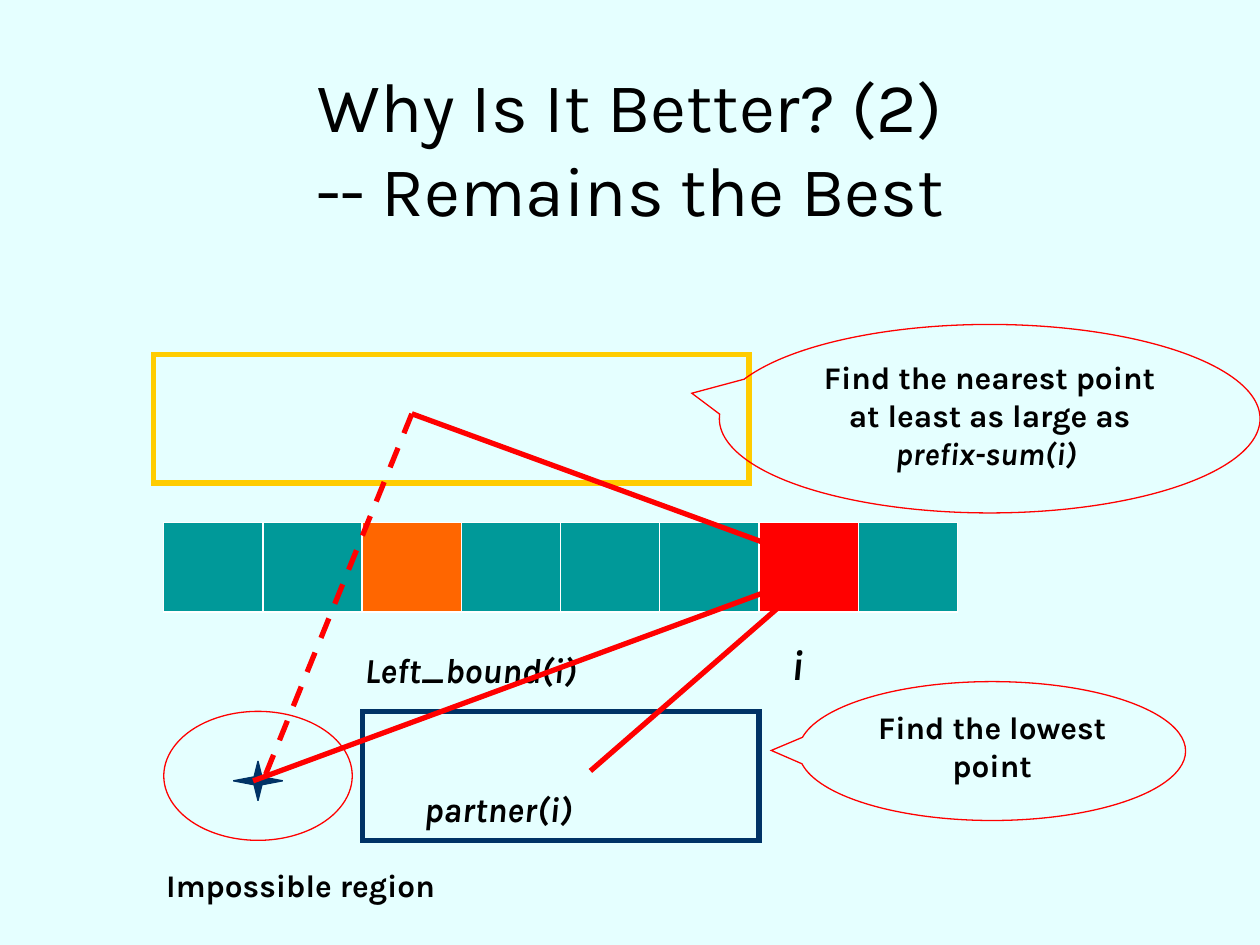
from lxml import etree
from pptx import Presentation
from pptx.dml.color import RGBColor
from pptx.enum.dml import MSO_LINE_DASH_STYLE as Dash
from pptx.enum.shapes import MSO_CONNECTOR as Connector, MSO_SHAPE as Shape
from pptx.enum.text import MSO_ANCHOR as Anchor, MSO_AUTO_SIZE as AutoSize, PP_ALIGN as Align
from pptx.oxml.ns import qn
from pptx.util import Cm, Inches, Pt

BACKGROUND = RGBColor(0xE5, 0xFF, 0xFF)
BLACK = RGBColor(0, 0, 0)
WHITE = RGBColor(0xFF, 0xFF, 0xFF)
TEAL = RGBColor(0, 0x99, 0x99)
ORANGE = RGBColor(0xFF, 0x66, 0)
RED = RGBColor(0xFF, 0, 0)
YELLOW = RGBColor(0xFF, 0xCC, 0)
NAVY = RGBColor(0, 0x33, 0x66)

THIN, THICK = 0.75, 3
CELL_HEIGHT = 0.9


class Diagram:
    """Draws on a 2 cm grid whose origin is the top left of the array."""

    unit = Cm(2)
    left, top = Inches(1.3), Inches(4.15)
    font = "Karla"

    def __init__(self, presentation):
        self.width, self.height = presentation.slide_width, presentation.slide_height
        self.slide = presentation.slides.add_slide(presentation.slide_layouts[5])
        self.slide.background.fill.solid()
        self.slide.background.fill.fore_color.rgb = BACKGROUND

    def point(self, column, row):
        return round(self.left + column * self.unit), round(self.top + row * self.unit)

    def area(self, column, row, columns, rows):
        return *self.point(column, row), round(columns * self.unit), round(rows * self.unit)

    def format_run(self, run, size, bold=True, italic=False):
        run.font.name = self.font
        run.font.size = Pt(size)
        run.font.color.rgb = BLACK
        run.font.bold, run.font.italic = bold, italic

    def paint(self, shape, line, weight, fill=None):
        shape.shadow.inherit = False
        shape.line.color.rgb = line
        shape.line.width = Pt(weight)
        etree.SubElement(shape._element.spPr.find(qn("a:ln")), qn("a:miter"), lim="800000")
        if fill is None:
            shape.fill.background()
        else:
            shape.fill.solid()
            shape.fill.fore_color.rgb = fill

    def title(self, text):
        title = self.slide.shapes.title
        title.left, title.top = round(0.05 * self.width), round(0.055 * self.height)
        title.width, title.height = round(0.9 * self.width), round(0.2 * self.height)
        frame = title.text_frame
        frame.text = text
        frame.auto_size = AutoSize.NONE
        frame.vertical_anchor = Anchor.MIDDLE
        frame.paragraphs[0].alignment = Align.CENTER
        for run in frame.paragraphs[0].runs:
            self.format_run(run, 40, bold=False)

    def shape(self, kind, area, line, weight=THIN, fill=None):
        shape = self.slide.shapes.add_shape(kind, *self.area(*area))
        self.paint(shape, line, weight, fill)
        return shape

    def label(self, text, area, size, italic=True):
        frame = self.slide.shapes.add_textbox(*self.area(*area)).text_frame
        frame.text = text
        frame.word_wrap = True
        frame.auto_size = AutoSize.SHAPE_TO_FIT_TEXT
        self.format_run(frame.paragraphs[0].runs[0], size, italic=italic)

    def callout(self, text, area, tip, term=""):
        """Add an oval callout; term is the italic end of its text."""
        shape = self.shape(Shape.OVAL_CALLOUT, area, RED)
        shape.adjustments[0], shape.adjustments[1] = tip
        frame = shape.text_frame
        frame.text = text
        frame.word_wrap = True
        frame.vertical_anchor = Anchor.TOP
        paragraph = frame.paragraphs[0]
        paragraph.alignment = Align.CENTER
        self.format_run(paragraph.runs[0], 18)
        if term:
            run = paragraph.add_run()
            run.text = term
            self.format_run(run, 18, italic=True)

    def line(self, start, end, dashed=False):
        line = self.slide.shapes.add_connector(
            Connector.STRAIGHT, *self.point(*start), *self.point(*end))
        line.line.color.rgb = RED
        line.line.width = Pt(THICK)
        if dashed:
            line.line.dash_style = Dash.DASH
        etree.SubElement(line._element.spPr, qn("a:effectLst"))

    def star(self, column, row, reach_x, reach_y, waist):
        offsets = [(-reach_x, 0), (-waist, -waist), (0, -reach_y), (waist, -waist),
                   (reach_x, 0), (waist, waist), (0, reach_y), (-waist, waist)]
        start, *others = [self.point(column + x, row + y) for x, y in offsets]
        builder = self.slide.shapes.build_freeform(*start)
        builder.add_line_segments(others, close=True)
        self.paint(builder.convert_to_shape(), NAVY, THIN, NAVY)


def main():
    presentation = Presentation()
    presentation.slide_width, presentation.slide_height = Inches(10), Inches(7.5)
    diagram = Diagram(presentation)
    diagram.title("Why Is It Better? (2)\v-- Remains the Best")

    # Each bar covers the one before it, leaving its last cells in view.
    bars = [(1, 8, TEAL), *[(0.3, end, TEAL) for end in (6, 5, 4)],
            (0, 3, ORANGE), (0.3, 2, TEAL), (0, 1, TEAL)]
    for start, end, color in bars:
        diagram.shape(Shape.RECTANGLE, (start, 0, end - start, CELL_HEIGHT), WHITE, fill=color)

    nearest, partner, impossible = (2.5, -1.1), (4.3, 2.5), (0.9, 2.6)
    diagram.shape(Shape.RECTANGLE, (-0.1, -1.7, 6, 1.3), YELLOW, THICK)
    diagram.shape(Shape.RECTANGLE, (6, 0, 1, CELL_HEIGHT), WHITE, fill=RED)
    diagram.line((6.6, 0.4), nearest)
    diagram.label("i", (6.2, 1.1, 1.5, 0.64), 24)
    diagram.label("Left_bound(i)", (1.9, 1.2, 2.9, 0.56), 20)

    diagram.shape(Shape.RECTANGLE, (2, 1.9, 4, 1.3), NAVY, THICK)
    diagram.line((6.6, 0.5), partner)
    diagram.callout("Find the lowest point", (6.4, 1.6, 3.9, 1.4), (-0.571, -0.004))
    diagram.label("partner(i)", (2.5, 2.6, 2.9, 0.56), 20)

    diagram.shape(Shape.OVAL, (0, 1.9, 1.9, 1.3), RED)
    diagram.label("Impossible region", (-0.1, 3.4, 5.1, 0.51), 18, italic=False)
    diagram.star(0.95, 2.6, 0.25, 0.2, 0.04)
    diagram.line((6.6, 0.5), impossible)
    diagram.line(nearest, (1, 2.6), dashed=True)
    diagram.callout("Find the nearest point at least as large as ",
                    (5.6, -2, 5.45, 1.9), (-0.551, -0.135), "prefix-sum(i) ")
    presentation.save("out.pptx")


if __name__ == "__main__":
    main()
